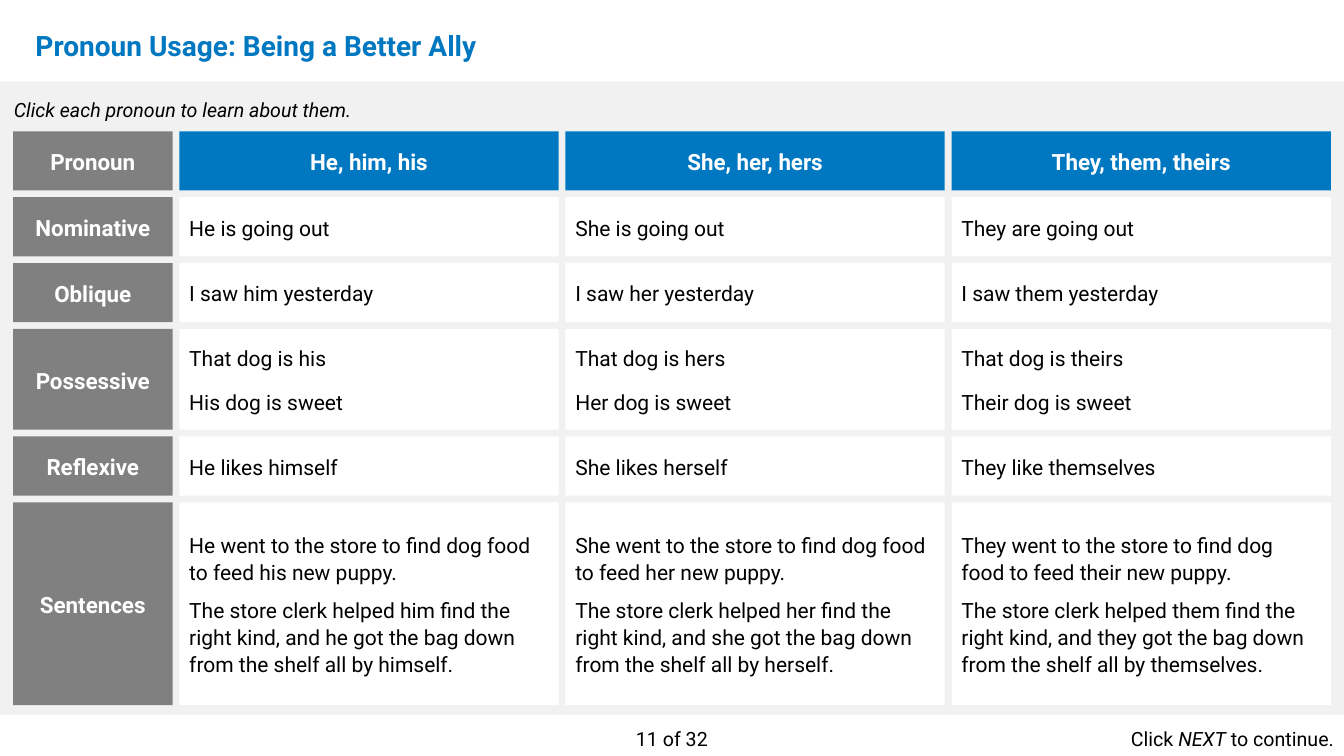
"""Build the pronoun usage slide: a grid of pronoun forms under clickable headings."""
import pptx
import pptx.dml.color
import pptx.enum.shapes
import pptx.enum.text
import pptx.util

Cm = pptx.util.Cm
RGBColor = pptx.dml.color.RGBColor
ALIGN = pptx.enum.text.PP_ALIGN
ANCHOR = pptx.enum.text.MSO_ANCHOR

TITLE = "Pronoun Usage: Being a Better Ally"
INSTRUCTION = "Click each pronoun to learn about them."
PAGE = "11 of 32"
CONTINUE = "Click *NEXT* to continue."
HEADINGS = ("Pronoun", "He, him, his", "She, her, hers", "They, them, theirs")
FORMS = (
    ("Nominative", "He is going out", "She is going out", "They are going out"),
    ("Oblique", "I saw him yesterday", "I saw her yesterday", "I saw them yesterday"),
    ("Possessive",
     "That dog is his\nHis dog is sweet",
     "That dog is hers\nHer dog is sweet",
     "That dog is theirs\nTheir dog is sweet"),
    ("Reflexive", "He likes himself", "She likes herself", "They like themselves"),
    ("Sentences",
     "He went to the store to find dog food to feed his new puppy.\n"
     "The store clerk helped him find the right kind, and he got the bag down "
     "from the shelf all by himself.",
     "She went to the store to find dog food to feed her new puppy.\n"
     "The store clerk helped her find the right kind, and she got the bag down "
     "from the shelf all by herself.",
     "They went to the store to find dog food to feed their new puppy.\n"
     "The store clerk helped them find the right kind, and they got the bag down "
     "from the shelf all by themselves."),
)

FONT = "Roboto"
BLUE = RGBColor(0x00, 0x78, 0xC1)
GRAY = RGBColor(0x80, 0x80, 0x80)
PANEL = RGBColor(0xF1, 0xF1, 0xF2)
WHITE = RGBColor(0xFF, 0xFF, 0xFF)
BLACK = RGBColor(0x00, 0x00, 0x00)

SLIDE_WIDTH, SLIDE_HEIGHT = 33.87, 19.05
GRID_LEFT, GRID_TOP, GAP = 0.33, 3.31, 0.17
COLUMN_WIDTHS = (4.02, 9.56, 9.56, 9.56)
ROW_HEIGHTS = (1.49, 1.49, 1.49, 2.54, 1.49, 5.11)
POSSESSIVE_ROW = 3


def write_text(shape, text, size=14, color=BLACK, bold=False, italic=False,
               align=ALIGN.LEFT, anchor=ANCHOR.TOP, line_spacing=1.0, space_after=0):
    """Write newline-separated paragraphs; words between asterisks are italic."""
    frame = shape.text_frame
    frame.word_wrap = True
    frame.auto_size = pptx.enum.text.MSO_AUTO_SIZE.NONE
    frame.vertical_anchor = anchor
    for number, line in enumerate(text.split("\n")):
        paragraph = frame.add_paragraph() if number else frame.paragraphs[0]
        paragraph.alignment = align
        paragraph.line_spacing = line_spacing
        paragraph.space_before = pptx.util.Pt(0)
        paragraph.space_after = pptx.util.Pt(space_after)
        for index, part in enumerate(line.split("*")):
            run = paragraph.add_run()
            run.text = part
            run.font.name = FONT
            run.font.size = pptx.util.Pt(size)
            run.font.color.rgb = color
            run.font.bold = bold
            run.font.italic = italic or index % 2 == 1


def add_rectangle(slide, left, top, width, height, color):
    """Add a plain filled rectangle, measured in centimetres."""
    shape = slide.shapes.add_shape(pptx.enum.shapes.MSO_SHAPE.RECTANGLE,
                                   Cm(left), Cm(top), Cm(width), Cm(height))
    shape.shadow.inherit = False
    shape.fill.solid()
    shape.fill.fore_color.rgb = color
    shape.line.fill.background()
    return shape


def add_label(slide, text, left, top, width, **text_format):
    """Add a one-line text box, measured in centimetres."""
    box = slide.shapes.add_textbox(Cm(left), Cm(top), Cm(width), Cm(0.86))
    write_text(box, text, **text_format)


def add_grid(slide):
    """Add the rectangles of the pronoun grid row by row."""
    top = GRID_TOP
    for row, (height, texts) in enumerate(zip(ROW_HEIGHTS, (HEADINGS,) + FORMS)):
        left = GRID_LEFT
        for column, (width, text) in enumerate(zip(COLUMN_WIDTHS, texts)):
            is_heading = row == 0 or column == 0
            fill = GRAY if column == 0 else BLUE if row == 0 else WHITE
            cell = add_rectangle(slide, left, top, width, height, fill)
            write_text(cell, text,
                       size=16 if is_heading else 15,
                       color=WHITE if is_heading else BLACK,
                       bold=is_heading,
                       align=ALIGN.CENTER if is_heading else ALIGN.LEFT,
                       anchor=ANCHOR.MIDDLE,
                       line_spacing=1.07,
                       space_after=12 if row == POSSESSIVE_ROW else 8)
            left += width + GAP
        top += height + GAP


def main():
    """Create the presentation and save it."""
    presentation = pptx.Presentation()
    presentation.slide_width = Cm(SLIDE_WIDTH)
    presentation.slide_height = Cm(SLIDE_HEIGHT)
    slide = presentation.slides.add_slide(presentation.slide_layouts[5])

    title = slide.shapes.title
    title.left, title.top, title.width, title.height = Cm(0.64), Cm(0.5), Cm(29.2), Cm(1.37)
    write_text(title, TITLE, size=20, color=BLUE, bold=True,
               anchor=ANCHOR.MIDDLE, line_spacing=0.9)

    add_rectangle(slide, 0, 2.05, SLIDE_WIDTH, 15.96, PANEL)
    add_label(slide, INSTRUCTION, 0.1, 2.34, 12.9, italic=True)
    add_grid(slide)
    add_label(slide, PAGE, 13.55, 18.19, 6.77, align=ALIGN.CENTER)
    add_label(slide, CONTINUE, 27.1, 18.19, 6.77, align=ALIGN.RIGHT)
    presentation.save("out.pptx")


if __name__ == "__main__":
    main()
